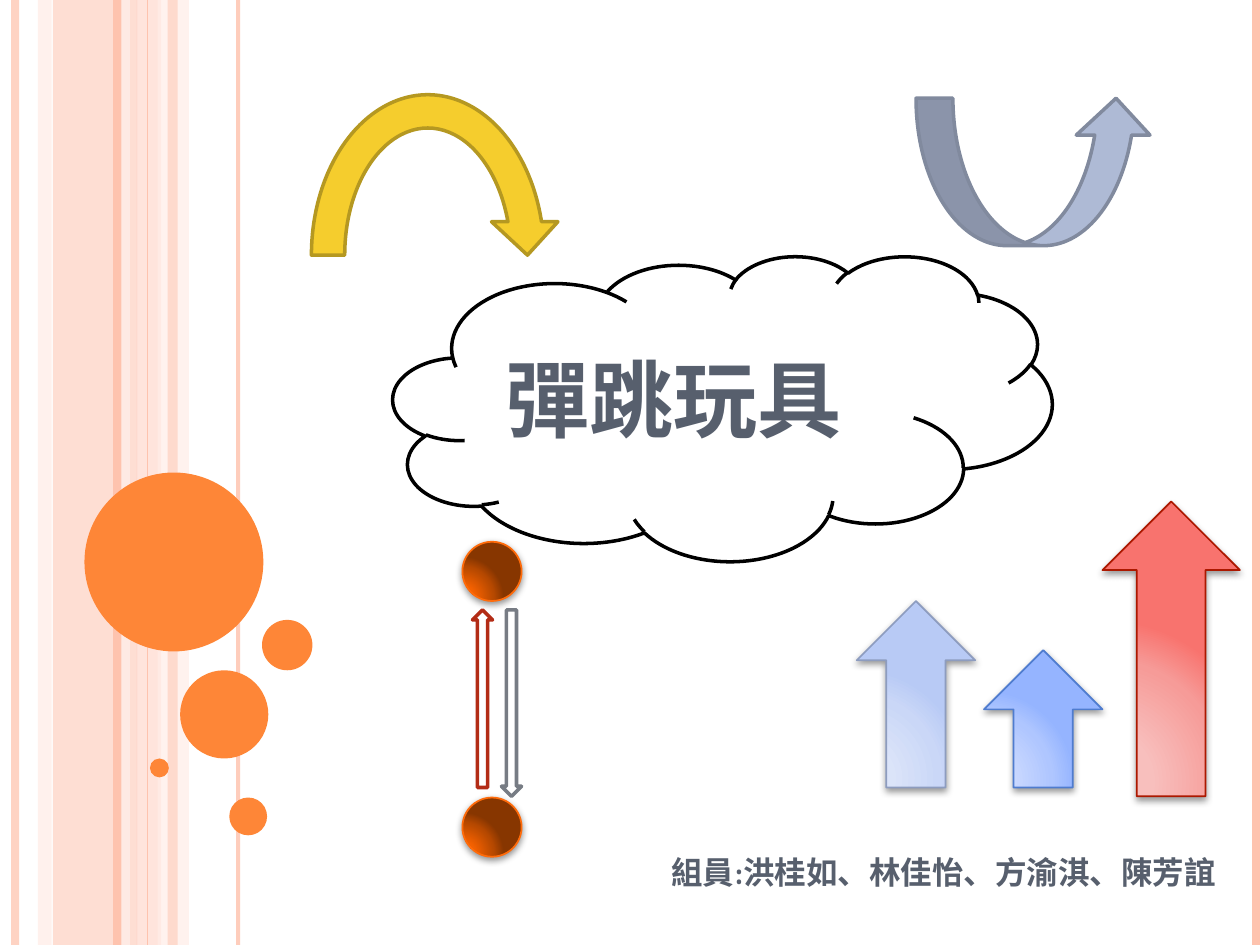
from lxml import etree
from pptx import Presentation
from pptx.dml.color import RGBColor
from pptx.enum.shapes import MSO_CONNECTOR, MSO_SHAPE
from pptx.enum.text import MSO_ANCHOR, MSO_AUTO_SIZE, PP_ALIGN
from pptx.oxml import parse_xml
from pptx.oxml.ns import nsdecls, qn
from pptx.util import Inches, Pt

COLORS = {
    "white": "FFFFFF", "black": "000000", "text": "575F6D", "orange": "FE8637",
    "peach": "FEC3AE", "blush": "FFD9CE", "mist": "FFEDE8",
    "gold": "F5CD2D", "gold_edge": "B59821", "slate": "AEBAD5", "slate_edge": "818A9E",
    "blue_edge": "4F7CCF", "red_edge": "AC1800", "pale_edge": "8D9CBF",
    "ball_edge": "FF6B0A", "up_edge": "B32C16", "down_edge": "777C84",
}
GRADIENTS = {
    "blue": ["CFDCFF", "CBD9FF", "AFC6FF", "95B4FF"],
    "red": ["F8C5C3", "F8BFBD", "F69B98", "F8736E"],
    "pale": ["DEE6FA", "DBE4F9", "CAD7F7", "B8CAF5"],
    "ball": ["FD6400", "F46100", "B74900", "873600"],
}
STOPS = [0, 30, 75, 100]


def color(name):
    return RGBColor.from_string(COLORS[name])


def set_alpha(item, percent):
    tint = item._element.spPr.find(".//" + qn("a:srgbClr"))
    etree.SubElement(tint, qn("a:alpha")).set("val", str(percent * 1000))


def add_shape(page, kind, box, fill, edge=None, width=2):
    shape = page.shapes.add_shape(kind, *[Inches(n) for n in box])
    shape.shadow.inherit = False
    shape.fill.solid()
    shape.fill.fore_color.rgb = color(fill)
    if edge:
        shape.line.color.rgb = color(edge)
        shape.line.width = Pt(width)
    else:
        shape.line.fill.background()
    return shape


def add_glossy(page, kind, box, gradient, edge, shade=40, distance=2):
    shape = add_shape(page, kind, box, "white", edge, 1)
    stops = "".join(
        f'<a:gs pos="{stop * 1000}"><a:srgbClr val="{tint}"/></a:gs>'
        for stop, tint in zip(STOPS, GRADIENTS[gradient]))
    properties = shape._element.spPr
    properties.replace(properties.find(qn("a:solidFill")), parse_xml(
        f'<a:gradFill {nsdecls("a")} rotWithShape="1"><a:gsLst>{stops}</a:gsLst>'
        '<a:path path="circle"><a:fillToRect l="5000" t="100000" r="120000" b="10000"/>'
        '</a:path></a:gradFill>'))
    properties.find(qn("a:effectLst")).append(parse_xml(
        f'<a:outerShdw {nsdecls("a")} blurRad="{Pt(4)}" dist="{Pt(distance)}" dir="5400000" '
        f'rotWithShape="0"><a:srgbClr val="{COLORS["black"]}">'
        f'<a:alpha val="{shade * 1000}"/></a:srgbClr></a:outerShdw>'))


def write(shape, text, size, cap=None):
    frame = shape.text_frame
    formats = {"word_wrap": True, "auto_size": MSO_AUTO_SIZE.NONE}
    for name, value in formats.items():
        setattr(frame, name, value)
    para = frame.paragraphs[0]
    para.alignment = PP_ALIGN.LEFT
    span = para.add_run()
    span.text = text
    for name, value in {"name": "Cambria", "size": Pt(size), "bold": True}.items():
        setattr(span.font, name, value)
    span.font.color.rgb = color("text")
    if cap:
        span._r.get_or_add_rPr().set("cap", cap)
    return para


def place_stripes(page, box):
    left, top, _, height = box

    def band(x, width, fill, alpha):
        shape = add_shape(page, MSO_SHAPE.RECTANGLE, (left + x, top, width, height), fill)
        set_alpha(shape, alpha)

    for values in [(0.42, 0.67, "peach", 54), (0.3, 0.11, "blush", 36),
                   (1.08, 0.2, "blush", 70), (1.25, 0.25, "mist", 71)]:
        band(*values)
    for x, tint, width, alpha in [
            (0.12, "peach", 4.5, 73), (1, "mist", 4.5, 83), (0.93, "peach", 4.5, 100),
            (1.89, "peach", 2.25, 82), (1.17, "peach", 0.75, 100), (9.97, "peach", 4.5, 100)]:
        line = page.shapes.add_connector(
            MSO_CONNECTOR.STRAIGHT, Inches(left + x), Inches(top),
            Inches(left + x), Inches(top + height))
        line.line.color.rgb = color(tint)
        line.line.width = Pt(width)
        set_alpha(line, alpha)
        etree.SubElement(line._element.spPr, qn("a:effectLst"))
    band(1.33, 0.08, "peach", 51)


def place_bubbles(page, box):
    left, top = box[:2]
    for x, y, size in [(0, 0, 1.42), (0.76, 1.57, 0.7), (0.52, 2.27, 0.15),
                       (1.15, 2.58, 0.3), (1.41, 1.17, 0.4)]:
        add_shape(page, MSO_SHAPE.OVAL, (left + x, top + y, size, size), "orange")


def place_title(page, box):
    left, top = box[:2]
    add_shape(page, MSO_SHAPE.CLOUD, box, "white", "black")
    title = page.shapes.title
    title.left, title.top = Inches(left + 0.79), Inches(top + 0.86)
    title.width, title.height = Inches(3.67), Inches(0.75)
    write(title, "彈跳玩具", 60, "small")
    title.text_frame.vertical_anchor = MSO_ANCHOR.BOTTOM
    page.shapes._spTree.append(title._element)


def place_members(page, box):
    members = page.shapes.add_textbox(*[Inches(n) for n in box])
    write(members, "組員:洪桂如、林佳怡、方渝淇、陳芳誼", 18).space_before = Pt(6)


def place_rising_arrows(page, box):
    left, top = box[:2]
    for x, y, width, height, name in [
            (1.01, 1.18, 0.94, 1.09, "blue"), (1.95, 0, 1.09, 2.34, "red"),
            (0, 0.79, 0.94, 1.48, "pale")]:
        add_glossy(page, MSO_SHAPE.UP_ARROW, (left + x, top + y, width, height),
                   name, name + "_edge")


def place_bouncing_balls(page, box):
    left, top, size, height = box
    for y in (top, top + height - size):
        add_glossy(page, MSO_SHAPE.FLOWCHART_CONNECTOR, (left, y, size, size),
                   "ball", "ball_edge", 42, 1.6)
    for kind, x, length, edge in [(MSO_SHAPE.UP_ARROW, 0.08, 1.41, "up_edge"),
                                  (MSO_SHAPE.DOWN_ARROW, 0.31, 1.48, "down_edge")]:
        add_shape(page, kind, (left + x, top + 0.54, 0.16, length), "white", edge)


def main():
    deck = Presentation()
    deck.slide_width, deck.slide_height = Inches(10), Inches(7.5)
    page = deck.slides.add_slide(deck.slide_layouts[5])
    place_stripes(page, (0, 0, 10, 7.5))
    place_bubbles(page, (0.67, 3.75, 1.81, 2.88))
    place_title(page, (3.12, 2.03, 5.23, 2.42))
    place_members(page, (5.23, 6.72, 4.61, 0.55))
    place_rising_arrows(page, (6.8, 3.98, 3.04, 2.34))
    add_shape(page, MSO_SHAPE.CIRCULAR_ARROW, (2.34, 0.62, 2.11, 2.81), "gold", "gold_edge")
    add_shape(page, MSO_SHAPE.CURVED_UP_ARROW, (7.27, 0.78, 1.88, 1.17), "slate", "slate_edge")
    place_bouncing_balls(page, (3.67, 4.3, 0.47, 2.5))
    deck.save("out.pptx")


if __name__ == "__main__":
    main()
